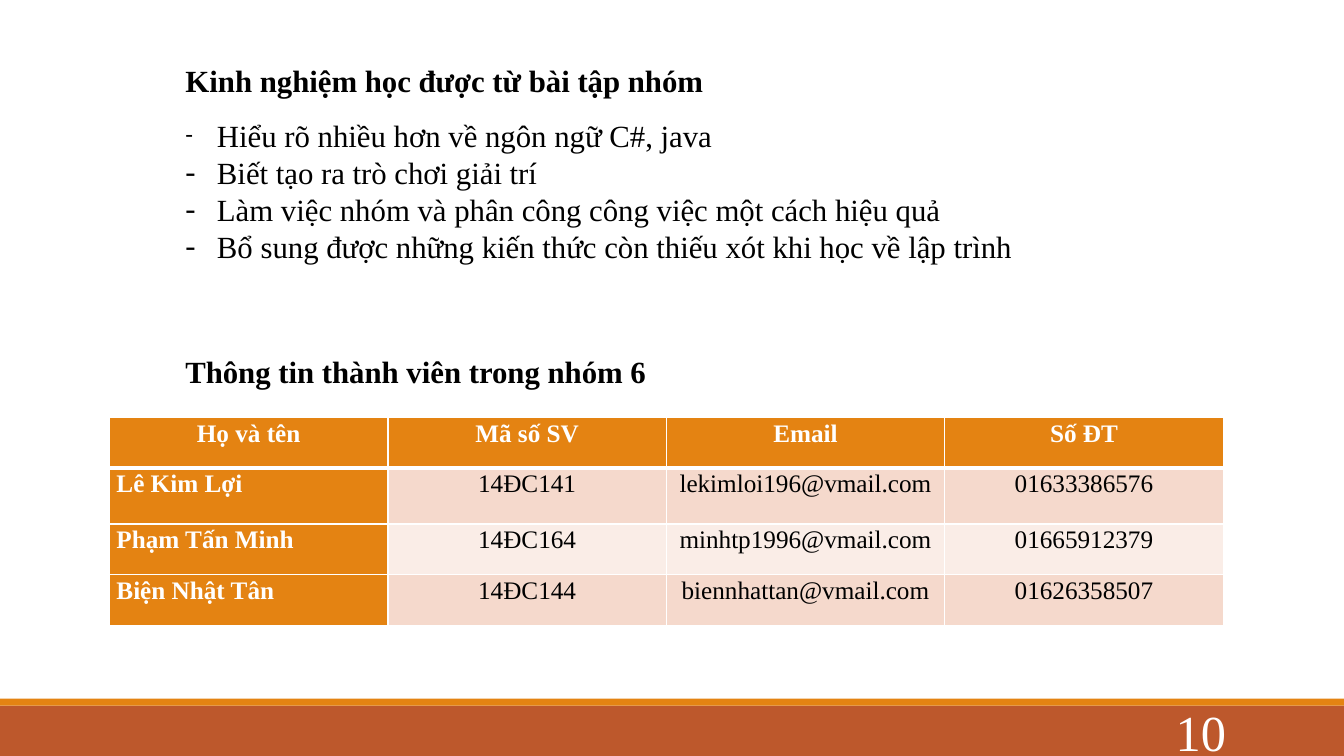
from lxml.etree import SubElement
from pptx import Presentation
from pptx.dml.color import RGBColor
from pptx.enum.shapes import MSO_SHAPE
from pptx.enum.text import MSO_ANCHOR, MSO_AUTO_SIZE, PP_ALIGN
from pptx.oxml.ns import qn
from pptx.util import Pt

BLACK = RGBColor(0x00, 0x00, 0x00)
WHITE = RGBColor(0xFF, 0xFF, 0xFF)
ORANGE = RGBColor(0xE4, 0x83, 0x12)
RUST = RGBColor(0xBD, 0x58, 0x2C)
BANDS = [RGBColor(0xF5, 0xD9, 0xCC), RGBColor(0xFA, 0xED, 0xE7)]

FONT = "Times New Roman"
TEXT_LEFT = 125.3
LESSONS = [
    "Hiểu rõ nhiều hơn về ngôn ngữ C#, java",
    "Biết tạo ra trò chơi giải trí",
    "Làm việc nhóm và phân công công việc một cách hiệu quả",
    "Bổ sung được những kiến thức còn thiếu xót khi học về lập trình",
]
MEMBERS = [
    ["Họ và tên", "Mã số SV", "Email", "Số ĐT"],
    ["Lê Kim Lợi", "14ĐC141", "lekimloi196@vmail.com", "01633386576"],
    ["Phạm Tấn Minh", "14ĐC164", "minhtp1996@vmail.com", "01665912379"],
    ["Biện Nhật Tân", "14ĐC144", "biennhattan@vmail.com", "01626358507"],
]
ROW_HEIGHTS = [35.8, 40.3, 36.2, 36.2]
COL_WIDTH = 198.9


def add_run(p, text, size, color=BLACK, bold=False):
    r = p.add_run()
    r.text = text
    r.font.name = FONT
    r.font.size = Pt(size)
    r.font.bold = bold
    r.font.color.rgb = color


def place(sp, left, top, width, height):
    sp.left, sp.top, sp.width, sp.height = Pt(left), Pt(top), Pt(width), Pt(height)


def frame(sp, anchor=MSO_ANCHOR.TOP, wrap=False):
    tf = sp.text_frame
    tf.word_wrap = wrap
    tf.auto_size = MSO_AUTO_SIZE.NONE
    tf.vertical_anchor = anchor
    return tf


def fill_heading(sp, text, top, width):
    place(sp, TEXT_LEFT, top, width, 33.9)
    p = frame(sp).paragraphs[0]
    p.alignment = PP_ALIGN.LEFT
    add_run(p, text, 22, bold=True)


def set_dash(p, font, percent):
    pPr = p._p.get_or_add_pPr()
    pPr.set("marL", str(Pt(22.5)))
    pPr.set("indent", str(Pt(-22.5)))
    SubElement(pPr, qn("a:buSzPct"), val=str(percent * 1000))
    SubElement(pPr, qn("a:buFont"), typeface=font)
    SubElement(pPr, qn("a:buChar"), char="-")


def fill_list(sp, items):
    place(sp, TEXT_LEFT, 79.9, 611.3, 113.8)
    tf = frame(sp)
    for i, item in enumerate(items):
        p = tf.add_paragraph() if i else tf.paragraphs[0]
        p.alignment = PP_ALIGN.LEFT
        p.line_spacing = 1.0
        p.space_before = Pt(0)
        if i == 0:
            set_dash(p, "Calibri", 82)
        else:
            set_dash(p, FONT, 100)
        add_run(p, item, 22)


def add_bar(s, top, height, color):
    sp = s.shapes.add_shape(MSO_SHAPE.RECTANGLE, 0, Pt(top), Pt(960), Pt(height))
    sp.shadow.inherit = False
    sp.fill.solid()
    sp.fill.fore_color.rgb = color
    sp.line.fill.background()


def set_border(cell, side, width):
    ln = SubElement(cell._tc.get_or_add_tcPr(), qn(f"a:ln{side}"), w=str(Pt(width)))
    fill = SubElement(ln, qn("a:solidFill"))
    SubElement(fill, qn("a:srgbClr"), val=str(WHITE))


def fill_cell(cell, text, row, col):
    label = row == 0 or col == 0
    cell.margin_left = cell.margin_right = Pt(5)
    cell.margin_top = cell.margin_bottom = 0
    widths = {"L": 1, "R": 1, "T": 3 if row == 1 else 1, "B": 3 if row == 0 else 1}
    for side, width in widths.items():
        set_border(cell, side, width)
    cell.fill.solid()
    cell.fill.fore_color.rgb = ORANGE if label else BANDS[(row - 1) % 2]
    p = cell.text_frame.paragraphs[0]
    p.alignment = PP_ALIGN.LEFT if row and col == 0 else PP_ALIGN.CENTER
    p.line_spacing = 1.07
    add_run(p, text, 18, WHITE if label else BLACK, label)


def add_member_table(s):
    cols = len(MEMBERS[0])
    table = s.shapes.add_table(len(MEMBERS), cols, Pt(78.2), Pt(298.3),
                               Pt(COL_WIDTH * cols), Pt(sum(ROW_HEIGHTS))).table
    table.first_col = True
    for column in table.columns:
        column.width = Pt(COL_WIDTH)
    for row, values in enumerate(MEMBERS):
        table.rows[row].height = Pt(ROW_HEIGHTS[row])
        for col, text in enumerate(values):
            fill_cell(table.cell(row, col), text, row, col)


def add_page_number(s, number):
    sp = s.shapes.add_textbox(Pt(779.8), Pt(508.3), Pt(103), Pt(28.8))
    p = frame(sp, MSO_ANCHOR.MIDDLE, wrap=True).paragraphs[0]
    p.alignment = PP_ALIGN.RIGHT
    add_run(p, number, 36, WHITE)


def main():
    prs = Presentation()
    prs.slide_width, prs.slide_height = Pt(960), Pt(540)
    s = prs.slides.add_slide(prs.slide_layouts[1])
    add_bar(s, 504, 36, RUST)
    add_bar(s, 499, 5, ORANGE)
    fill_heading(s.shapes.title, "Kinh nghiệm học được từ bài tập nhóm", 40.3, 388.8)
    fill_list(s.placeholders[1], LESSONS)
    members_heading = s.shapes.add_textbox(0, 0, 0, 0)
    fill_heading(members_heading, "Thông tin thành viên trong nhóm 6", 248.4, 347.8)
    add_member_table(s)
    add_page_number(s, "10")
    prs.save("out.pptx")


if __name__ == "__main__":
    main()
